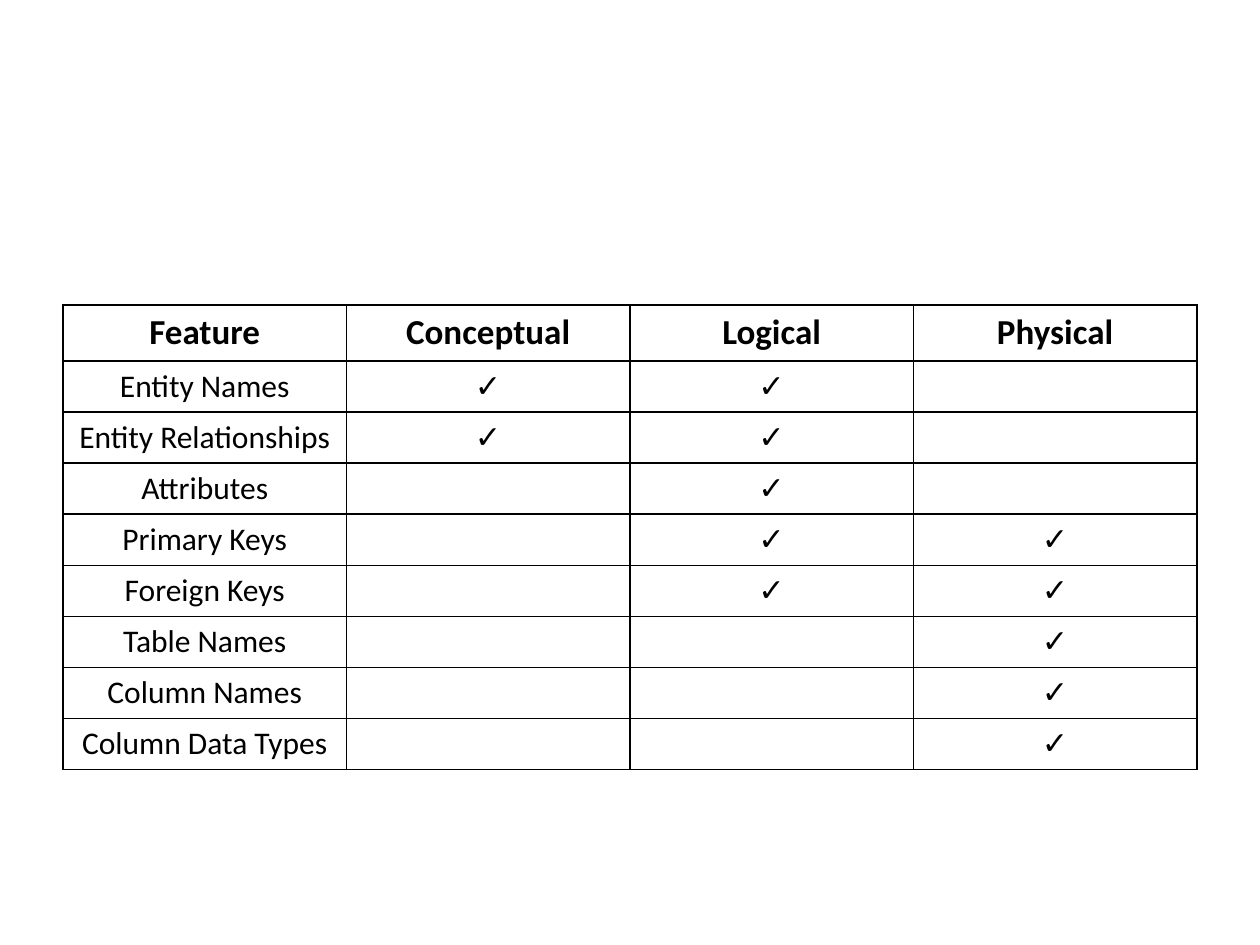
from dataclasses import dataclass

from lxml.etree import SubElement
from pptx import Presentation
from pptx.dml.color import RGBColor
from pptx.enum.text import MSO_ANCHOR as Anchor, PP_ALIGN as Align
from pptx.oxml.ns import qn
from pptx.util import Emu, Pt

PX = 914400 // 126
BLACK, WHITE = "000000", "FFFFFF"
FONT = "Calibri"
CHECK = "✓"
LEVELS = ("Conceptual", "Logical", "Physical")

# Table geometry in px
LEFT, TOP, WIDTH = 63, 305, 1134
HEADER_HEIGHT, ROW_HEIGHT = 56, 51


@dataclass(frozen=True)
class Feature:
    name: str
    levels: tuple[str, ...]


FEATURES = [
    Feature("Entity Names", ("Conceptual", "Logical")),
    Feature("Entity Relationships", ("Conceptual", "Logical")),
    Feature("Attributes", ("Logical",)),
    Feature("Primary Keys", ("Logical", "Physical")),
    Feature("Foreign Keys", ("Logical", "Physical")),
    Feature("Table Names", ("Physical",)),
    Feature("Column Names", ("Physical",)),
    Feature("Column Data Types", ("Physical",)),
]


def px(length: int) -> Emu:
    return Emu(length * PX)


def color(value: str) -> RGBColor:
    return RGBColor.from_string(value)


def add_borders(cell, value: str, width: int) -> None:
    """Draw all four edges; borders must precede the fill in the XML."""
    properties = cell._tc.get_or_add_tcPr()
    for side in ("lnL", "lnR", "lnT", "lnB"):
        line = SubElement(properties, qn(f"a:{side}"), w=str(Pt(width)))
        fill = SubElement(line, qn("a:solidFill"))
        SubElement(fill, qn("a:srgbClr"), val=value)


def fill_cell(cell, text: str, size: int, bold: bool) -> None:
    add_borders(cell, BLACK, 1)
    cell.fill.solid()
    cell.fill.fore_color.rgb = color(WHITE)
    cell.vertical_anchor = Anchor.MIDDLE
    para = cell.text_frame.paragraphs[0]
    para.alignment = Align.CENTER
    para.text = text
    for span in para.runs:
        span.font.name = FONT
        span.font.size = Pt(size)
        span.font.bold = bold
        span.font.color.rgb = color(BLACK)


def add_feature_table(page) -> None:
    rows = [("Feature", *LEVELS)]
    for feature in FEATURES:
        marks = (CHECK if level in feature.levels else "" for level in LEVELS)
        rows.append((feature.name, *marks))

    height = HEADER_HEIGHT + ROW_HEIGHT * len(FEATURES)
    table = page.shapes.add_table(
        len(rows), len(rows[0]), px(LEFT), px(TOP), px(WIDTH), px(height)
    ).table
    for row_index, texts in enumerate(rows):
        header = row_index == 0
        table.rows[row_index].height = px(HEADER_HEIGHT if header else ROW_HEIGHT)
        for column_index, text in enumerate(texts):
            cell = table.cell(row_index, column_index)
            fill_cell(cell, text, 20 if header else 18, header)


def main() -> None:
    deck = Presentation()
    deck.slide_width, deck.slide_height = px(1260), px(945)
    page = deck.slides.add_slide(deck.slide_layouts[6])
    add_feature_table(page)
    deck.save("out.pptx")


if __name__ == "__main__":
    main()
